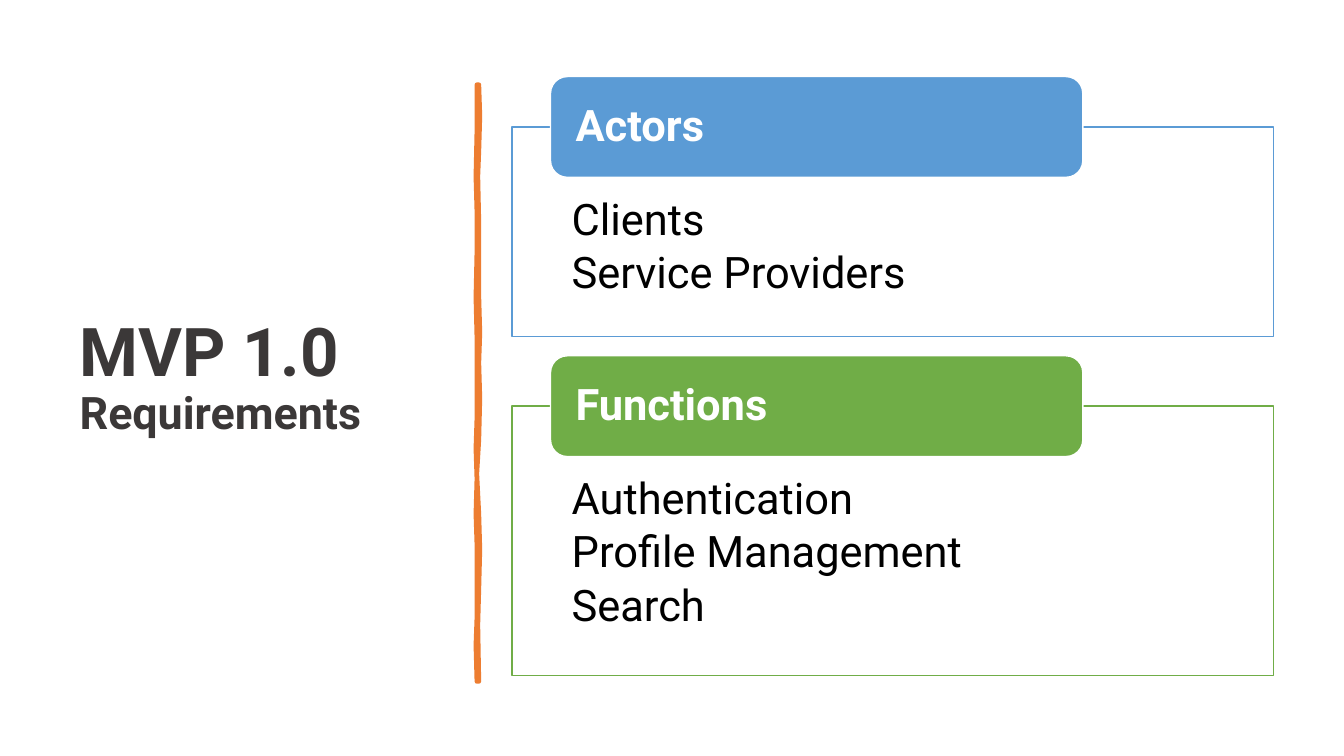
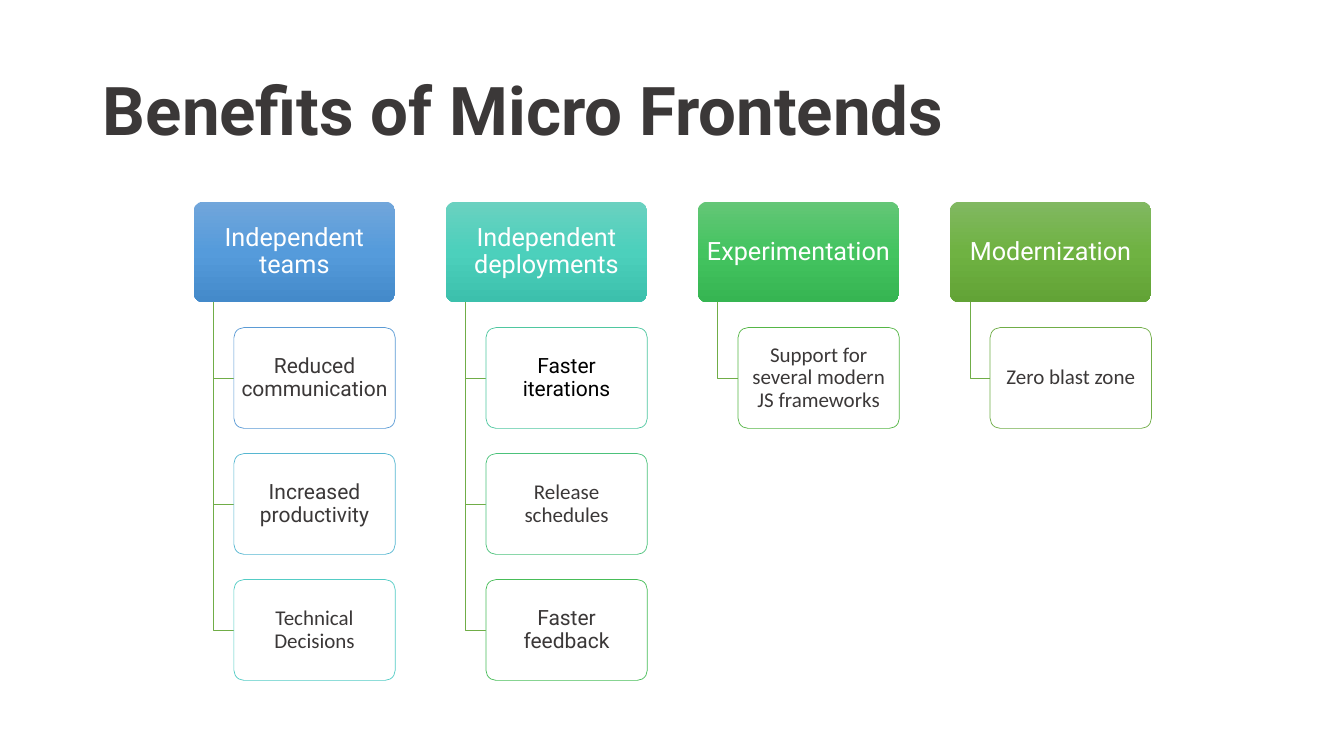
"""Build two slides: the MVP requirements and the benefits of micro frontends."""
from copy import deepcopy

from pptx import Presentation
from pptx.dml.color import RGBColor
from pptx.enum.shapes import MSO_SHAPE as SHAPE
from pptx.enum.text import MSO_ANCHOR as ANCHOR, MSO_AUTO_SIZE as AUTO_SIZE, PP_ALIGN as ALIGN
from pptx.oxml.ns import qn
from pptx.util import Inches, Pt

WHITE = RGBColor(0xFF, 0xFF, 0xFF)
BLACK = RGBColor(0x00, 0x00, 0x00)
CHARCOAL = RGBColor(0x3B, 0x38, 0x38)
ORANGE = RGBColor(0xED, 0x7D, 0x31)
BLUE = RGBColor(0x5B, 0x9B, 0xD5)
GREEN = RGBColor(0x70, 0xAD, 0x47)

TITLE_FONT = {"name": "Roboto", "size": Pt(48), "bold": True}
HEADER_FONT = {"name": "Roboto", "size": Pt(31), "bold": True}
ITEM_FONT = {"name": "Roboto", "size": Pt(31), "bold": False}
BENEFIT_FONT = {"name": "Roboto", "size": Pt(18), "bold": False}


def write_text(shape, lines, font, colour, align, anchor, margins=(0.1, 0.05)):
    """Fill a shape with one formatted paragraph per line."""
    frame = shape.text_frame
    frame.text = "\n".join(lines)
    side, edge = (Inches(margin) for margin in margins)
    settings = {"word_wrap": True, "auto_size": AUTO_SIZE.NONE, "vertical_anchor": anchor,
                "margin_left": side, "margin_right": side,
                "margin_top": edge, "margin_bottom": edge}
    for name, value in settings.items():
        setattr(frame, name, value)
    for paragraph in frame.paragraphs:
        paragraph.alignment = align
        paragraph.line_spacing = 0.9
        paragraph.space_before = Pt(0)
        for name, value in font.items():
            setattr(paragraph.font, name, value)
        paragraph.font.color.rgb = colour


def add_box(slide, kind, box, line_colour=None, line_width=1, fill_colour=WHITE):
    """Add a flat shape with a solid fill and an optional outline."""
    shape = slide.shapes.add_shape(kind, *(Inches(length) for length in box))
    shape.shadow.inherit = False
    shape.fill.solid()
    shape.fill.fore_color.rgb = fill_colour
    if line_colour is None:
        shape.line.fill.background()
    else:
        shape.line.color.rgb = line_colour
        shape.line.width = Pt(line_width)
    return shape


presentation = Presentation()
presentation.slide_width = Inches(13.33)
presentation.slide_height = Inches(7.5)

slides = []
for title_text, title_box in [("MVP 1.0", (0.69, 0.7, 3.74, 6.11)),
                              ("Benefits of Micro Frontends", (0.92, 0.4, 11.5, 1.45))]:
    slide = presentation.slides.add_slide(presentation.slide_layouts[5])
    title = slide.shapes.title
    title.left, title.top, title.width, title.height = (Inches(length) for length in title_box)
    write_text(title, [title_text], TITLE_FONT, CHARCOAL, ALIGN.LEFT, ANCHOR.MIDDLE)
    slides.append(slide)
requirements, benefits = slides

title_paragraph = requirements.shapes.title.text_frame.paragraphs[0]
title_paragraph.add_line_break()
subtitle = title_paragraph.add_run()
subtitle.text = "Requirements"
subtitle.font.size = Pt(32)

right_edge = [(4.75, 0.84), (4.76, 1.15), (4.75, 1.5), (4.74, 1.75), (4.75, 2.2), (4.75, 2.94),
              (4.76, 3.3), (4.75, 3.6), (4.76, 3.95), (4.75, 4.36), (4.73, 4.7), (4.75, 5.1),
              (4.76, 5.45), (4.75, 5.84), (4.74, 6.2), (4.75, 6.76)]
left_edge = [(4.73, 6.76), (4.72, 6.4), (4.73, 6.13), (4.73, 5.4), (4.72, 5.1), (4.73, 4.75),
             (4.72, 4.45), (4.73, 4.15), (4.73, 3.35), (4.72, 2.95), (4.73, 2.5), (4.73, 2.1),
             (4.72, 1.75), (4.73, 1.3), (4.73, 0.84)]
outline = [(Inches(x), Inches(y)) for x, y in right_edge + left_edge]
builder = requirements.shapes.build_freeform(*outline[0])
builder.add_line_segments(outline[1:], close=True)
divider = builder.convert_to_shape()
divider.shadow.inherit = False
divider.fill.solid()
divider.fill.fore_color.rgb = ORANGE
divider.line.color.rgb = ORANGE
divider.line.width = Pt(3.25)

panels = [
    ("Actors", BLUE, 1.26, 2.08, ["Clients", "Service Providers"]),
    ("Functions", GREEN, 4.03, 2.67, ["Authentication", "Profile Management", "Search"]),
]
for heading, colour, top, height, items in panels:
    panel = add_box(requirements, SHAPE.RECTANGLE, (5.08, top, 7.55, height), colour)
    write_text(panel, items, ITEM_FONT, BLACK, ALIGN.LEFT, ANCHOR.TOP, (0.59, 0.7))
    panel.text_frame.margin_bottom = Inches(0.24)
    for paragraph in panel.text_frame.paragraphs:
        paragraph.space_after = Pt(4.7)
    header = add_box(requirements, SHAPE.ROUNDED_RECTANGLE, (5.46, top - 0.5, 5.28, 1),
                     WHITE, fill_colour=colour)
    write_text(header, [heading], HEADER_FONT, WHITE, ALIGN.LEFT, ANCHOR.MIDDLE, (0.2, 0))

columns = [
    ("Independent teams", ["71A6DB", "559BDB", "448ACA"], [
        ("Reduced communication", "5B9BD5", "Roboto", CHARCOAL),
        ("Increased productivity", "57B7D1", "Roboto", CHARCOAL),
        ("Technical Decisions", "53CCC5", "Calibri", CHARCOAL)]),
    ("Independent deployments", ["6AD1C0", "4CD0BC", "3CC0AC"], [
        ("Faster iterations", "4FC7A0", "Roboto", BLACK),
        ("Release schedules", "4CC27B", "Calibri", CHARCOAL),
        ("Faster feedback", "48BD58", "Roboto", CHARCOAL)]),
    ("Experimentation", ["64C677", "44C460", "36B552"], [
        ("Support for several modern JS frameworks", "55B646", "Calibri", CHARCOAL)]),
    ("Modernization", ["81B861", "6FB242", "62A336"], [
        ("Zero blast zone", "70AD47", "Calibri", CHARCOAL)]),
]
HEADER_TOP, BOX_HEIGHT, ROW_PITCH = 2, 1, 1.25
for column, (heading, gradient, details) in enumerate(columns):
    left = 1.92 + 2.5 * column
    header = add_box(benefits, SHAPE.ROUNDED_RECTANGLE, (left, HEADER_TOP, 2, BOX_HEIGHT))
    header.adjustments[0] = 0.1
    header.fill.gradient()
    header.fill.gradient_angle = 270
    first_stop = next(header._element.spPr.iter(qn("a:gs")))
    first_stop.addnext(deepcopy(first_stop))
    for stop, position, colour in zip(header.fill.gradient_stops, (0, 0.5, 1), gradient):
        stop.position = position
        stop.color.rgb = RGBColor.from_string(colour)
    write_text(header, [heading], BENEFIT_FONT, WHITE, ALIGN.CENTER, ANCHOR.MIDDLE, (0.04, 0.03))

    trunk, detail_left, trunk_top = left + 0.2, left + 0.4, HEADER_TOP + BOX_HEIGHT
    for row, (text, line_colour, font_name, text_colour) in enumerate(details, start=1):
        top = HEADER_TOP + ROW_PITCH * row
        middle = top + BOX_HEIGHT / 2
        builder = benefits.shapes.build_freeform(Inches(trunk), Inches(trunk_top))
        builder.add_line_segments([(Inches(trunk), Inches(middle)),
                                   (Inches(detail_left), Inches(middle))], close=False)
        elbow = builder.convert_to_shape()
        elbow.shadow.inherit = False
        elbow.fill.background()
        elbow.line.color.rgb = GREEN
        elbow.line.width = Pt(0.5)

        detail = add_box(benefits, SHAPE.ROUNDED_RECTANGLE, (detail_left, top, 1.6, BOX_HEIGHT),
                         RGBColor.from_string(line_colour), 0.5)
        detail.adjustments[0] = 0.1
        detail_font = {"name": font_name, "size": Pt(15), "bold": False}
        write_text(detail, [text], detail_font, text_colour, ALIGN.CENTER, ANCHOR.MIDDLE,
                   (0.03, 0.02))

presentation.save("out.pptx")
